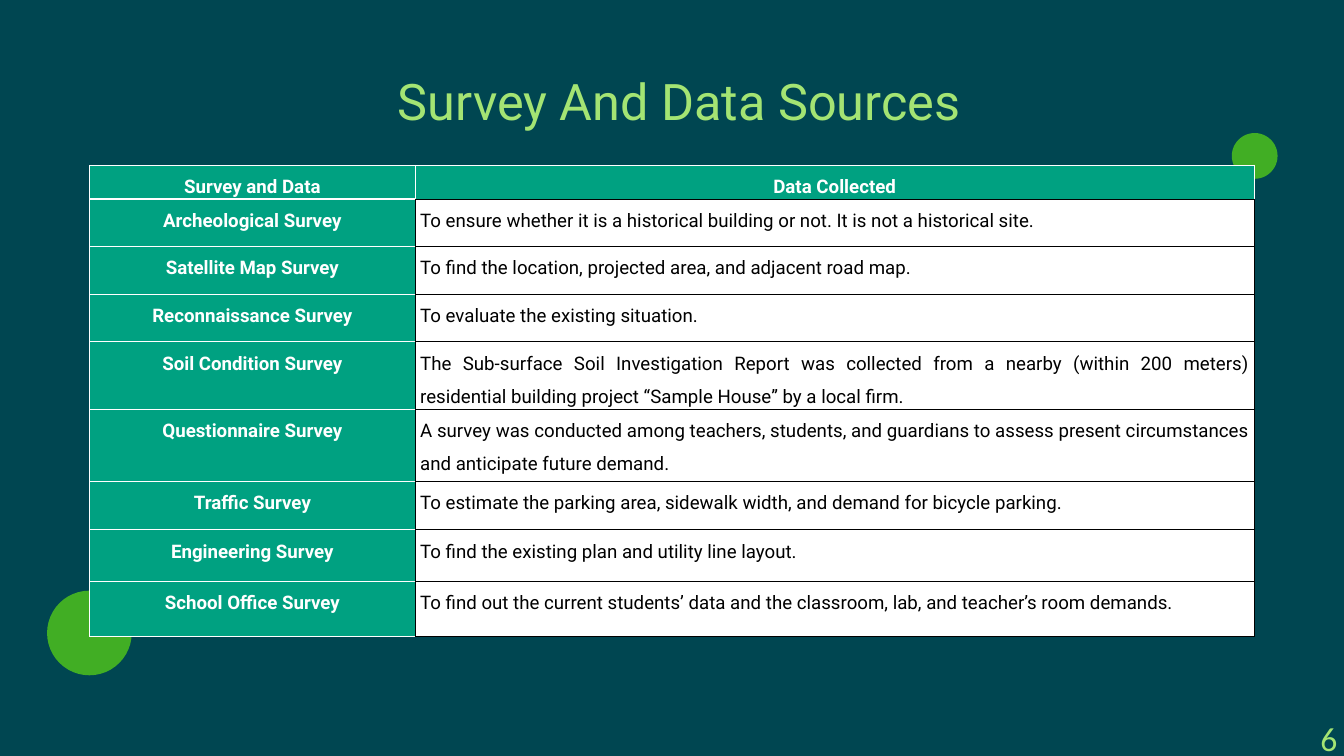
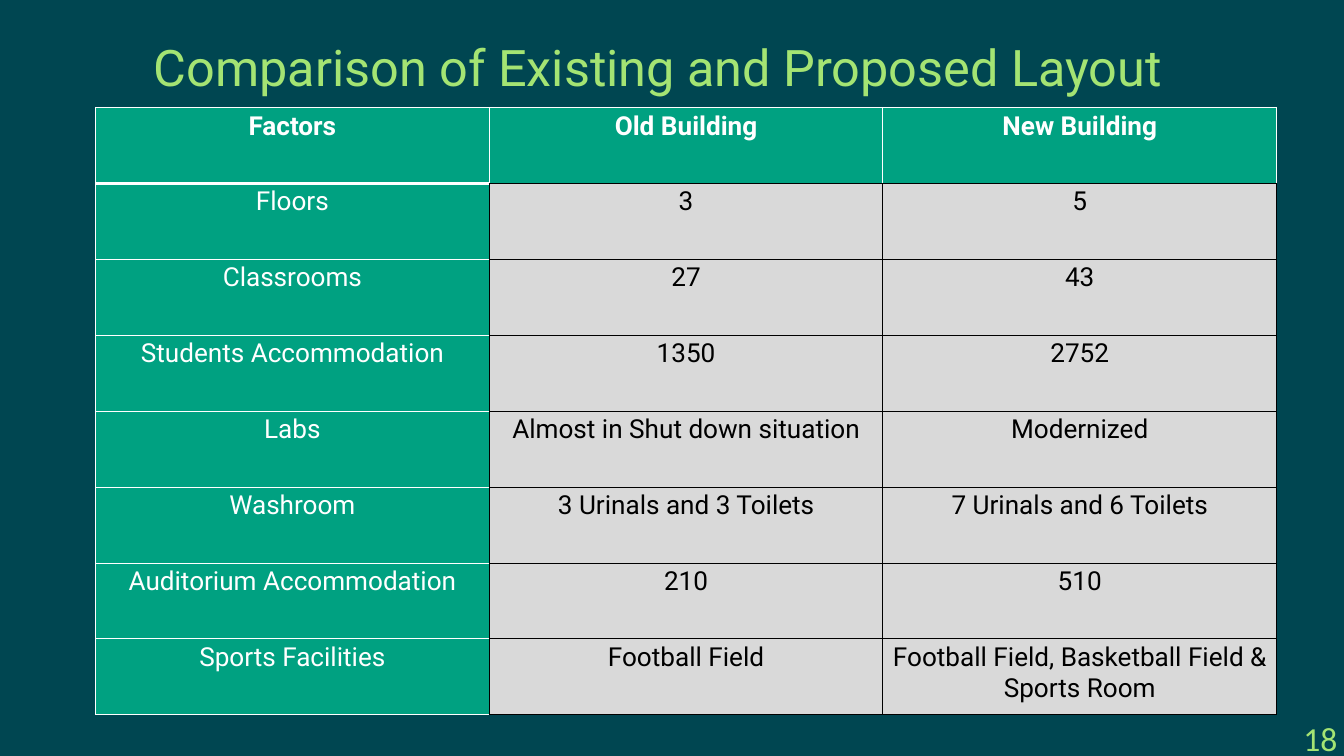
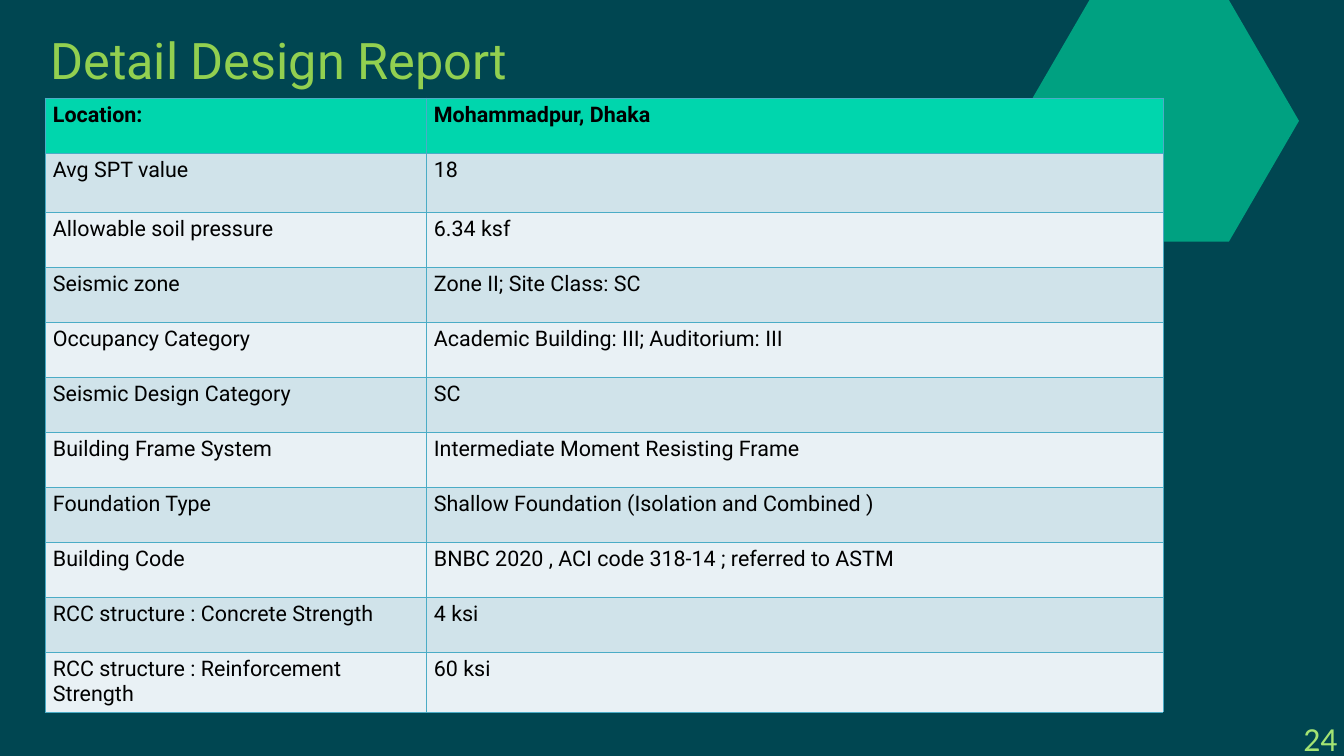
from dataclasses import dataclass
from typing import Any

from lxml import etree
from pptx import Presentation
from pptx import util as u
from pptx.dml.color import RGBColor
from pptx.enum import shapes, text
from pptx.oxml.ns import qn

# Shared colours and fonts
NIGHT, GREEN, MINT = "004651", "00A181", "00D6AD"
LIME, LEAF, SPOT = "A4E473", "92D050", "5EDB12"
WHITE, BLACK, GREY = "FFFFFF", "000000", "D9D9D9"
BAND_DARK, BAND_LIGHT, BAND_LINE = "D0E3EA", "E9F1F5", "4BACC6"
BODY_FONT, NUMBER_FONT = "Roboto", "Calibri"

LEFT, CENTER = text.PP_ALIGN.LEFT, text.PP_ALIGN.CENTER
RIGHT, JUSTIFY = text.PP_ALIGN.RIGHT, text.PP_ALIGN.JUSTIFY
SIDES = ("lnL", "lnR", "lnT", "lnB")


@dataclass
class Area:
    """Position and size in centimetres."""
    left: float
    top: float
    width: float
    height: float

    def lengths(self) -> list[u.Length]:
        return [u.Cm(v) for v in (self.left, self.top, self.width, self.height)]


@dataclass
class Title:
    words: str
    area: Area
    color: str = LIME
    line_points: float | None = None


@dataclass
class CellStyle:
    fill: str
    color: str
    borders: tuple[tuple[str, float], ...]  # left, right, top, bottom
    bold: bool = False
    align: Any = LEFT


@dataclass
class Grid:
    area: Area
    columns: list[float]
    heights: list[float]
    rows: list[tuple[str, ...]]
    size: float
    insets: tuple[float, float] = (0.25, 0.13)
    line_spacing: float = 1.0


# Helpers
def rgb(color: str) -> RGBColor:
    return RGBColor.from_string(color)


def apply(target: Any, values: dict[str, Any]) -> None:
    for name, value in values.items():
        setattr(target, name, value)


def margins(side: float, edge: float) -> dict[str, u.Length]:
    return {"margin_left": u.Cm(side), "margin_right": u.Cm(side),
            "margin_top": u.Cm(edge), "margin_bottom": u.Cm(edge)}


def write(para: Any, words: str, size: float, color: str, font: str = BODY_FONT,
          bold: bool = False, align: Any = LEFT, spacing: Any = 1.0) -> None:
    apply(para, {"alignment": align, "line_spacing": spacing})
    span = para.add_run()
    span.text = words
    apply(span.font, {"name": font, "size": u.Pt(size), "bold": bold})
    span.font.color.rgb = rgb(color)


# Slide frame: title and page number
def add_page(deck: Any, title: Title, number: int) -> Any:
    page = deck.slides.add_slide(deck.slide_layouts[5])
    box = page.shapes.title
    apply(box, dict(zip(("left", "top", "width", "height"), title.area.lengths())))
    apply(box.text_frame, {"word_wrap": True, "auto_size": text.MSO_AUTO_SIZE.NONE,
                           "vertical_anchor": text.MSO_ANCHOR.TOP, **margins(0, 0)})
    spacing = u.Pt(title.line_points) if title.line_points else 1.0
    write(box.text_frame.paragraphs[0], title.words, 54, title.color, spacing=spacing)

    box = page.shapes.add_textbox(*Area(40.84, 25.55, 9.96, 3.12).lengths())
    apply(box.text_frame, {"word_wrap": True, **margins(0.25, 0),
                           "vertical_anchor": text.MSO_ANCHOR.BOTTOM})
    write(box.text_frame.paragraphs[0], str(number), 36, LIME, NUMBER_FONT, align=RIGHT)
    return page


def add_ornament(page: Any, kind: Any, area: Area, color: str,
                 opacity: int = 100) -> Any:
    shape = page.shapes.add_shape(kind, *area.lengths())
    shape.shadow.inherit = False
    shape.fill.solid()
    shape.fill.fore_color.rgb = rgb(color)
    shape.line.fill.background()
    if opacity < 100:
        tint = shape.fill._xPr.find(qn("a:solidFill"))[0]
        etree.SubElement(tint, qn("a:alpha"), val=str(opacity * 1000))
    return shape


# Tables
def draw_cell(cell: Any, words: str, grid: Grid, style: CellStyle) -> None:
    properties = cell._tc.get_or_add_tcPr()
    for side, (color, points) in zip(SIDES, style.borders):
        line = etree.SubElement(properties, qn(f"a:{side}"), w=str(u.Pt(points)))
        paint = etree.SubElement(line, qn("a:solidFill"))
        etree.SubElement(paint, qn("a:srgbClr"), val=color)
    cell.fill.solid()
    cell.fill.fore_color.rgb = rgb(style.fill)
    apply(cell, margins(*grid.insets))
    write(cell.text_frame.paragraphs[0], words, grid.size, style.color,
          bold=style.bold, align=style.align, spacing=grid.line_spacing)


def add_grid(page: Any, grid: Grid, style_at: Any) -> None:
    frame = page.shapes.add_table(len(grid.rows), len(grid.columns),
                                  *grid.area.lengths())
    table = frame.table
    apply(table, {"first_row": False, "horz_banding": False})
    for column, width in zip(table.columns, grid.columns):
        column.width = u.Cm(width)
    for row, height in zip(table.rows, grid.heights):
        row.height = u.Cm(height)
    frame.height = u.Cm(grid.area.height)
    for r, row in enumerate(grid.rows):
        for c, words in enumerate(row):
            draw_cell(table.cell(r, c), words, grid, style_at(r, c))


def green_style(row: int, column: int, fill: str, align: Any,
                bold_labels: bool) -> CellStyle:
    """Green header row and label column around black-ruled data cells."""
    white, black = (WHITE, 1), (BLACK, 1)
    if row == 0:
        bottom = black if column else (WHITE, 3)
        return CellStyle(GREEN, WHITE, (white, white, white, bottom), True, CENTER)
    if column == 0:
        return CellStyle(GREEN, WHITE, (white, black, white, white),
                         bold_labels, CENTER)
    return CellStyle(fill, BLACK, (black,) * 4, align=align)


def banded_style(row: int, column: int) -> CellStyle:
    fill = MINT if row == 0 else BAND_DARK if row % 2 else BAND_LIGHT
    return CellStyle(fill, BLACK, ((BAND_LINE, 1),) * 4, bold=row == 0)


# Slide contents
SURVEYS = Grid(
    Area(3.38, 6.25, 44.02, 17.7), [12.32, 31.7],
    [0.79, 1.8, 1.8, 1.8, 2.54, 2.74, 1.83, 1.93, 2.11],
    [("Survey and Data", "Data Collected"),
     ("Archeological Survey", "To ensure whether it is a historical building or not. "
      "It is not a historical site."),
     ("Satellite Map Survey",
      "To find the location, projected area, and adjacent road map."),
     ("Reconnaissance Survey", "To evaluate the existing situation."),
     ("Soil Condition Survey", "The Sub-surface Soil Investigation Report was collected "
      "from a nearby (within 200 meters) residential building project “Sample House” "
      "by a local firm."),
     ("Questionnaire Survey", "A survey was conducted among teachers, students, and "
      "guardians to assess present circumstances and anticipate future demand."),
     ("Traffic Survey", "To estimate the parking area, sidewalk width, and demand for "
      "bicycle parking."),
     ("Engineering Survey", "To find the existing plan and utility line layout."),
     ("School Office Survey", "To find out the current students’ data and the "
      "classroom, lab, and teacher’s room demands.")],
    size=20, insets=(0.18, 0), line_spacing=1.5)

COMPARISON = Grid(
    Area(3.61, 4.06, 44.64, 22.94), [14.88] * 3, [2.87] * 8,
    [("Factors", "Old Building", "New Building"),
     ("Floors", "3", "5"),
     ("Classrooms", "27", "43"),
     ("Students Accommodation", "1350", "2752"),
     ("Labs", "Almost in Shut down situation", "Modernized"),
     ("Washroom", "3 Urinals and 3 Toilets", "7 Urinals and 6 Toilets"),
     ("Auditorium Accommodation", "210", "510"),
     ("Sports Facilities", "Football Field",
      "Football Field, Basketball Field & Sports Room")],
    size=28)

DESIGN = Grid(
    Area(1.7, 3.71, 42.26, 24.2), [14.4, 27.86],
    [2.08, 2.24] + [2.08] * 8 + [2.24],
    [("Location:", "Mohammadpur, Dhaka"),
     ("Avg SPT value", "18"),
     ("Allowable soil pressure", "6.34 ksf"),
     ("Seismic zone", "Zone II; Site Class: SC"),
     ("Occupancy Category", "Academic Building: III; Auditorium: III"),
     ("Seismic Design Category", "SC"),
     ("Building Frame System", "Intermediate Moment Resisting Frame"),
     ("Foundation Type", "Shallow Foundation (Isolation and Combined )"),
     ("Building Code", "BNBC 2020 , ACI code 318-14 ; referred to ASTM"),
     ("RCC structure : Concrete Strength", "4 ksi"),
     ("RCC structure : Reinforcement Strength", "60 ksi")],
    size=23, insets=(0.3, 0.15))


def main() -> None:
    deck = Presentation()
    apply(deck, {"slide_width": u.Cm(50.8), "slide_height": u.Cm(28.58)})
    backdrop = deck.slide_master.background.fill
    backdrop.solid()
    backdrop.fore_color.rgb = rgb(NIGHT)

    # Survey sources
    page = add_page(deck, Title("Survey And Data Sources",
                                Area(15.04, 2.64, 23.5, 2.31)), 6)
    for spot in (Area(46.56, 5.03, 1.73, 1.73), Area(1.78, 22.33, 3.2, 3.2)):
        add_ornament(page, shapes.MSO_SHAPE.OVAL, spot, SPOT, opacity=70)
    add_grid(page, SURVEYS, lambda r, c: green_style(r, c, WHITE, JUSTIFY, True))

    # Old and new building
    page = add_page(deck, Title("Comparison of Existing and Proposed Layout",
                                Area(5.82, 1.35, 40.23, 2.31)), 18)
    add_grid(page, COMPARISON, lambda r, c: green_style(r, c, GREY, CENTER, False))

    # Design report
    page = add_page(deck, Title("Detail Design Report", Area(1.9, 0, 40.44, 6.5),
                                LEAF, line_points=96), 24)
    hexagon = add_ornament(page, shapes.MSO_SHAPE.HEXAGON,
                           Area(38.53, 0, 10.57, 9.14), GREEN)
    hexagon.adjustments[0] = 0.29
    add_grid(page, DESIGN, banded_style)

    deck.save("out.pptx")


if __name__ == "__main__":
    main()
